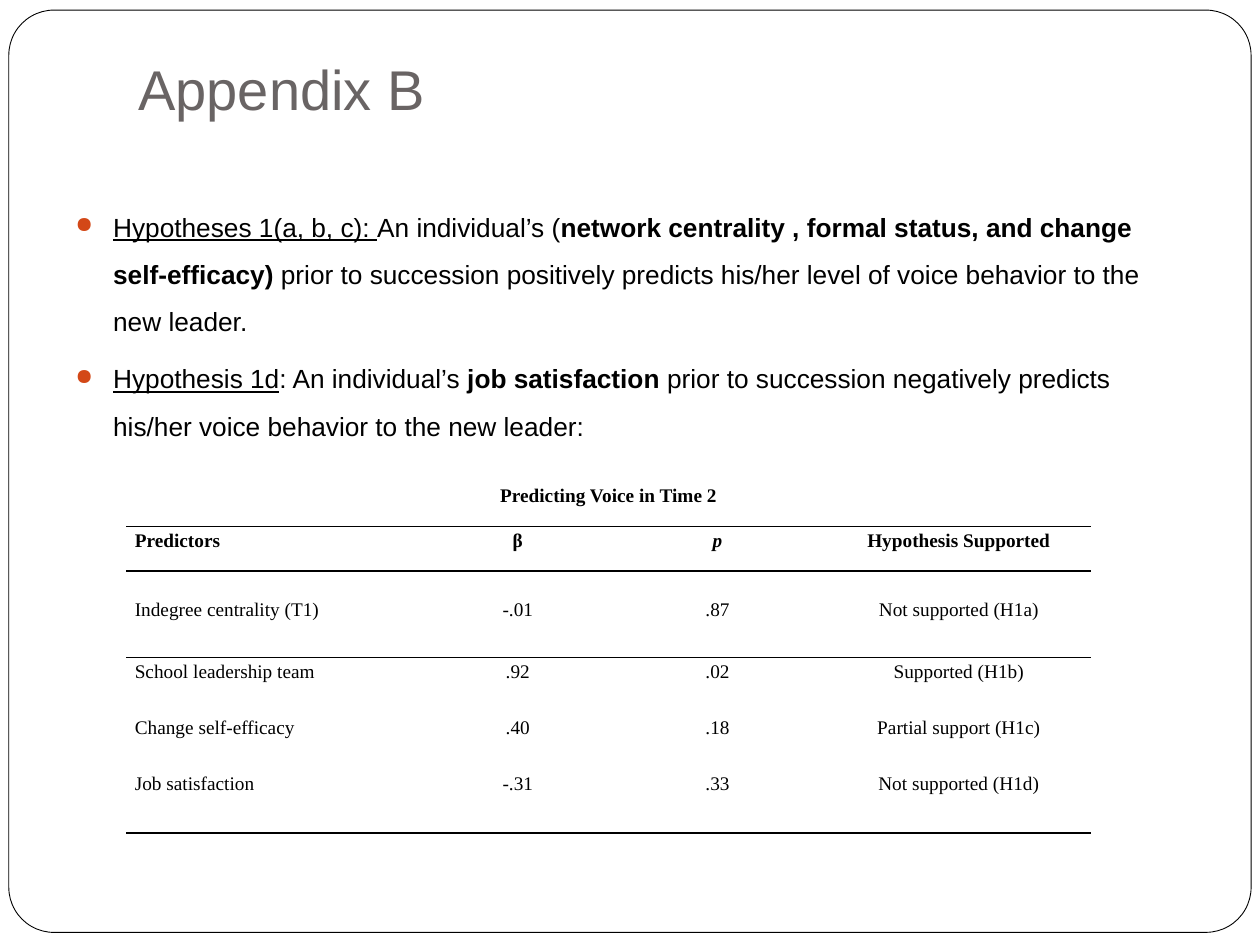
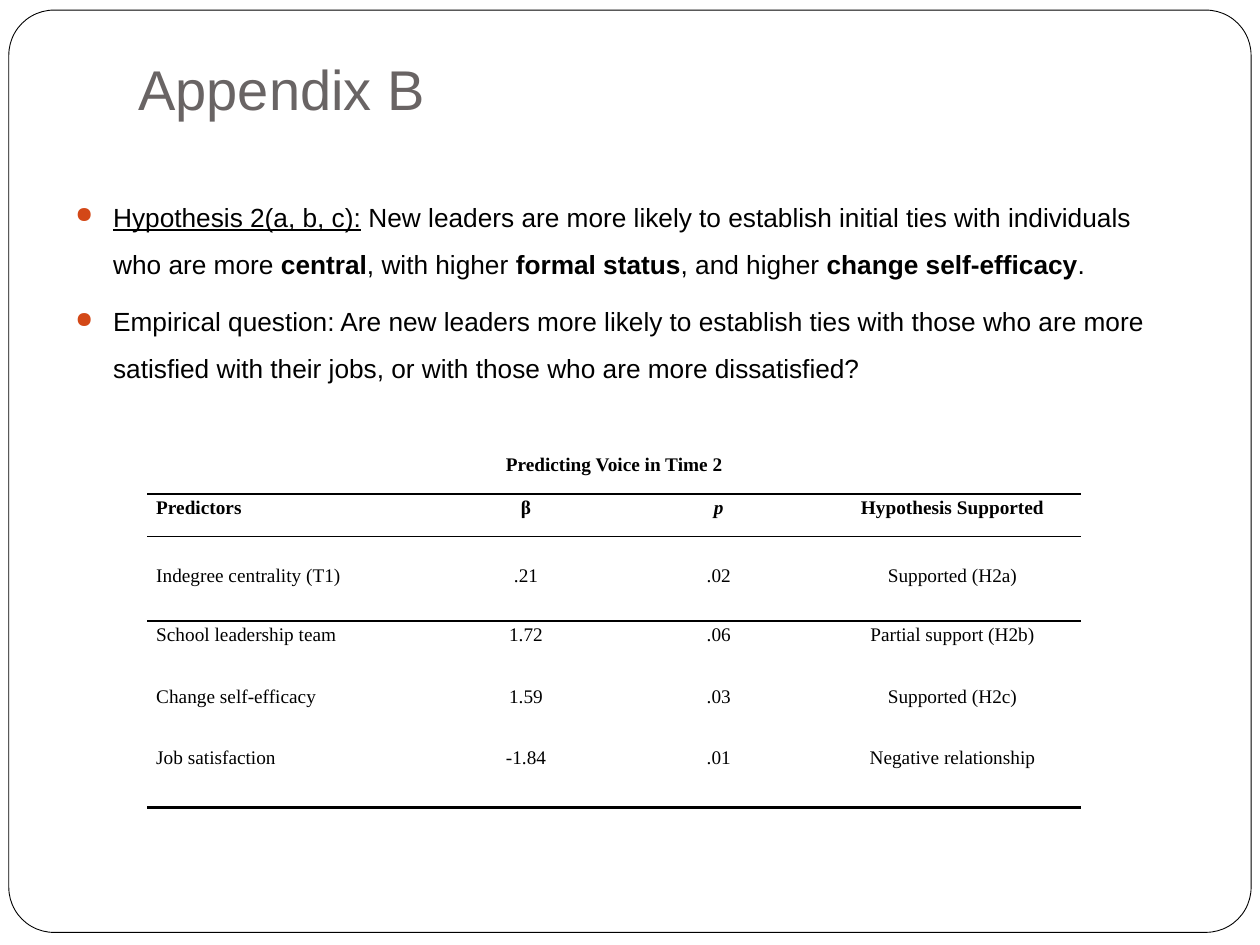
from lxml import etree
from pptx import Presentation
from pptx.dml.color import RGBColor
from pptx.enum.shapes import MSO_SHAPE as SHAPE
from pptx.enum.text import MSO_ANCHOR as ANCHOR, PP_ALIGN as ALIGN
from pptx.oxml import parse_xml
from pptx.oxml.ns import nsdecls, qn
from pptx.util import Inches, Pt

COLORS = {"paper": "FFFFFF", "ink": "000000", "title": "696464", "bullet": "D34817"}
NO_GRID_STYLE = "{2D5ABB26-0587-4C30-8999-92F81FD0307C}"
TABLE_TITLE = "Predicting Voice in Time 2"
HEADINGS = ["Predictors", "β", "p", "Hypothesis Supported"]
PREDICTORS = ["Indegree centrality (T1)", "School leadership team",
              "Change self-efficacy", "Job satisfaction"]
# Rules above and below each table row, in points
ROW_RULES = [{"B": 1}, {"T": 1, "B": 1}, {"T": 1}, {}, {}, {"B": 1.5}]

# Hypothesis runs carry a style: "u" underlined, "b" bold, "" plain
APPENDIX_SLIDES = [
    {
        "body_top": 1.5,
        "hypotheses": [
            [("Hypotheses 1(a, b, c): ", "u"), ("An individual’s (", ""),
             ("network centrality , formal status, and change self-efficacy)", "b"),
             (" prior to succession positively predicts his/her level of voice "
              "behavior to the new leader.", "")],
            [("Hypothesis 1d", "u"), (": An individual’s ", ""), ("job satisfaction ", "b"),
             ("prior to succession negatively predicts his/her voice behavior "
              "to the new leader:", "")],
        ],
        "table_at": (1, 3.83),
        "columns": [2.39, 1.44, 1.73, 2.1],
        "rows": [0.35, 0.35, 0.69, 0.45, 0.44, 0.5],
        "results": [("-.01", ".87", "Not supported (H1a)"), (".92", ".02", "Supported (H1b)"),
                    (".40", ".18", "Partial support (H1c)"),
                    ("-.31", ".33", "Not supported (H1d)")],
    },
    {
        "body_top": 1.42,
        "hypotheses": [
            [("Hypothesis 2(a, b, c):", "u"),
             (" New leaders are more likely to establish initial ties with "
              "individuals who are more ", ""),
             ("central", "b"), (", with higher ", ""), ("formal status", "b"),
             (", and higher ", ""), ("change self-efficacy", "b"), (".", "")],
            [("Empirical question: Are new leaders more likely to establish ties with those "
              "who are more satisfied with their jobs, or with those who are more "
              "dissatisfied?", "")],
        ],
        "table_at": (1.17, 3.58),
        "columns": [2.31, 1.39, 1.67, 2.04],
        "rows": [0.34, 0.34, 0.67, 0.49, 0.49, 0.5],
        "results": [(".21", ".02", "Supported (H2a)"), ("1.72", ".06", "Partial support (H2b)"),
                    ("1.59", ".03", "Supported (H2c)"),
                    ("-1.84", ".01", "Negative relationship")],
    },
]


def add_run(paragraph, text, size, font="Arial", color="ink", style=""):
    run = paragraph.add_run()
    run.text = text
    run.font.name = font
    run.font.size = Pt(size)
    run.font.color.rgb = RGBColor.from_string(COLORS[color])
    run.font.bold = "b" in style
    run.font.italic = "i" in style
    run.font.underline = "u" in style


def add_rule(cell, side, width):
    cell._tc.get_or_add_tcPr().append(parse_xml(
        f'<a:ln{side} {nsdecls("a")} w="{Pt(width)}"><a:solidFill>'
        f'<a:srgbClr val="{COLORS["ink"]}"/></a:solidFill></a:ln{side}>'))


prs = Presentation()
prs.slide_width, prs.slide_height = Inches(10), Inches(7.5)

for content in APPENDIX_SLIDES:
    slide = prs.slides.add_slide(prs.slide_layouts[6])

    # Rounded frame
    frame = slide.shapes.add_shape(SHAPE.ROUNDED_RECTANGLE, Inches(0.07), Inches(0.08),
                                   Inches(9.86), Inches(7.32))
    frame.adjustments[0] = 0.049
    frame.shadow.inherit = False
    frame.fill.solid()
    frame.fill.fore_color.rgb = RGBColor.from_string(COLORS["paper"])
    frame.line.color.rgb = RGBColor.from_string(COLORS["ink"])
    frame.line.width = Pt(0.5)

    # Title
    title = slide.shapes.add_textbox(Inches(1), Inches(0.3), Inches(8.5), Inches(1.25)).text_frame
    title.word_wrap = True
    title.vertical_anchor = ANCHOR.TOP
    title.margin_top = Inches(0.13)
    add_run(title.paragraphs[0], "Appendix B", 32, color="title")

    # Bulleted hypotheses
    body_top = content["body_top"]
    body = slide.shapes.add_textbox(Inches(0.5), Inches(body_top), Inches(9),
                                    Inches(6.57 - body_top)).text_frame
    body.word_wrap = True
    for i, hypothesis in enumerate(content["hypotheses"]):
        paragraph = body.add_paragraph() if i else body.paragraphs[0]
        props = paragraph._p.get_or_add_pPr()
        props.set("marL", str(Inches(0.3)))
        props.set("indent", str(-Inches(0.3)))
        bullet_color = etree.SubElement(props, qn("a:buClr"))
        etree.SubElement(bullet_color, qn("a:srgbClr"), val=COLORS["bullet"])
        etree.SubElement(props, qn("a:buSzPct"), val="85000")
        etree.SubElement(props, qn("a:buChar"), char="●")
        paragraph.line_spacing = 1.5
        paragraph.space_before = Pt(5.8 if i else 0)
        for text, style in hypothesis:
            add_run(paragraph, text, 15, style=style)

    # Results table
    rows, columns = content["rows"], content["columns"]
    left, top = content["table_at"]
    table = slide.shapes.add_table(len(rows), len(columns), Inches(left), Inches(top),
                                   Inches(sum(columns)), Inches(sum(rows))).table
    table.first_row = table.horz_banding = False
    table._tbl.tblPr.find(qn("a:tableStyleId")).text = NO_GRID_STYLE
    for column, width in zip(table.columns, columns):
        column.width = Inches(width)
    for row, height in zip(table.rows, rows):
        row.height = Inches(height)
    table.cell(0, 0).merge(table.cell(0, 3))

    findings = [(name, *result) for name, result in zip(PREDICTORS, content["results"])]
    for r, texts in enumerate([[TABLE_TITLE, "", "", ""], HEADINGS, *findings]):
        for c, text in enumerate(texts):
            cell = table.cell(r, c)
            cell.margin_left = cell.margin_right = Inches(0.07)
            cell.margin_top = Inches(0.2 if r == 2 else 0)
            cell.margin_bottom = 0
            for side, width in ROW_RULES[r].items():
                add_rule(cell, side, width)
            cell.fill.background()
            if text:
                paragraph = cell.text_frame.paragraphs[0]
                paragraph.line_spacing = 1.15
                paragraph.alignment = ALIGN.LEFT if c == 0 and r else ALIGN.CENTER
                style = ("b" if r < 2 else "") + ("i" if text == "p" else "")
                add_run(paragraph, text, 11, "Times New Roman", style=style)

prs.save("out.pptx")
